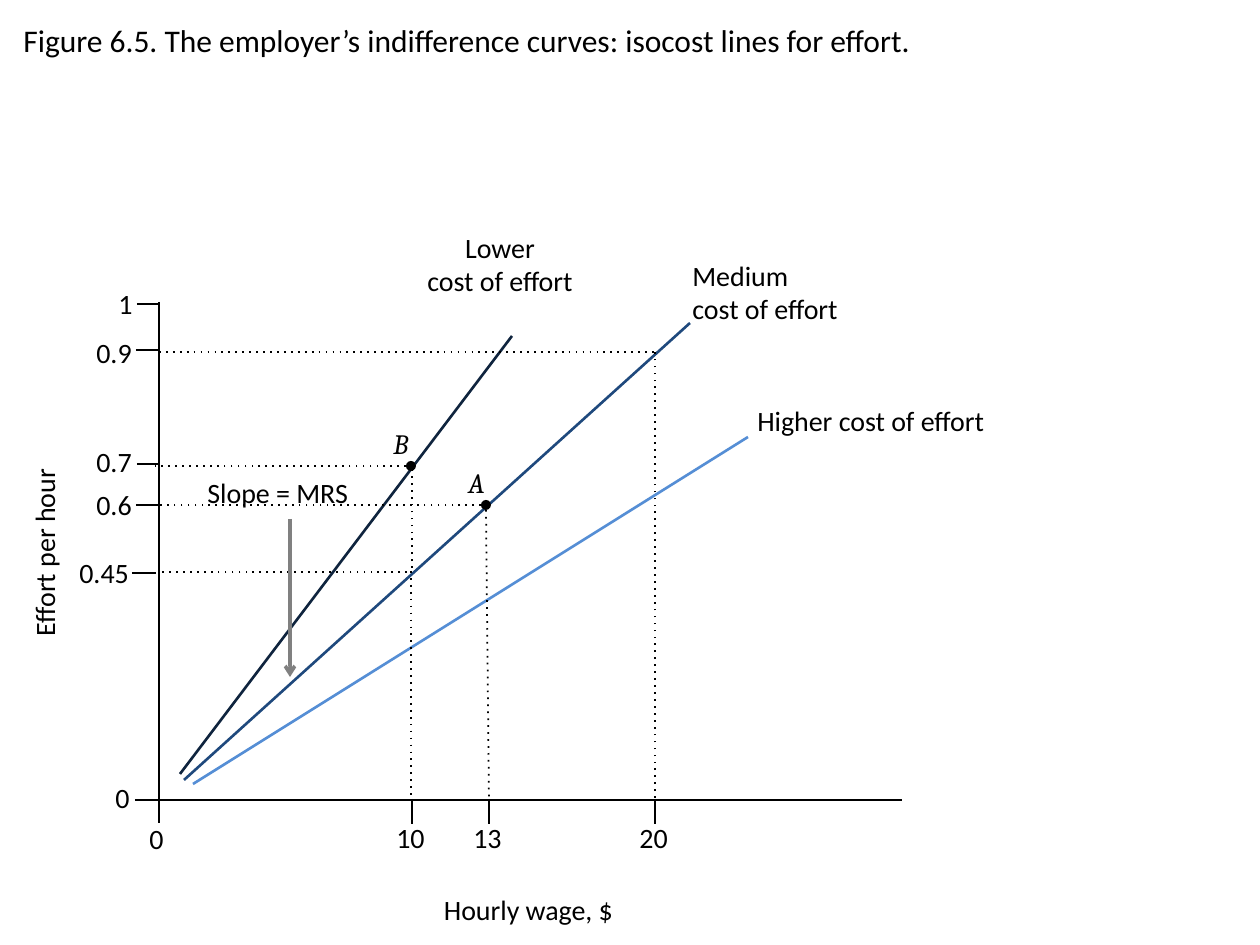
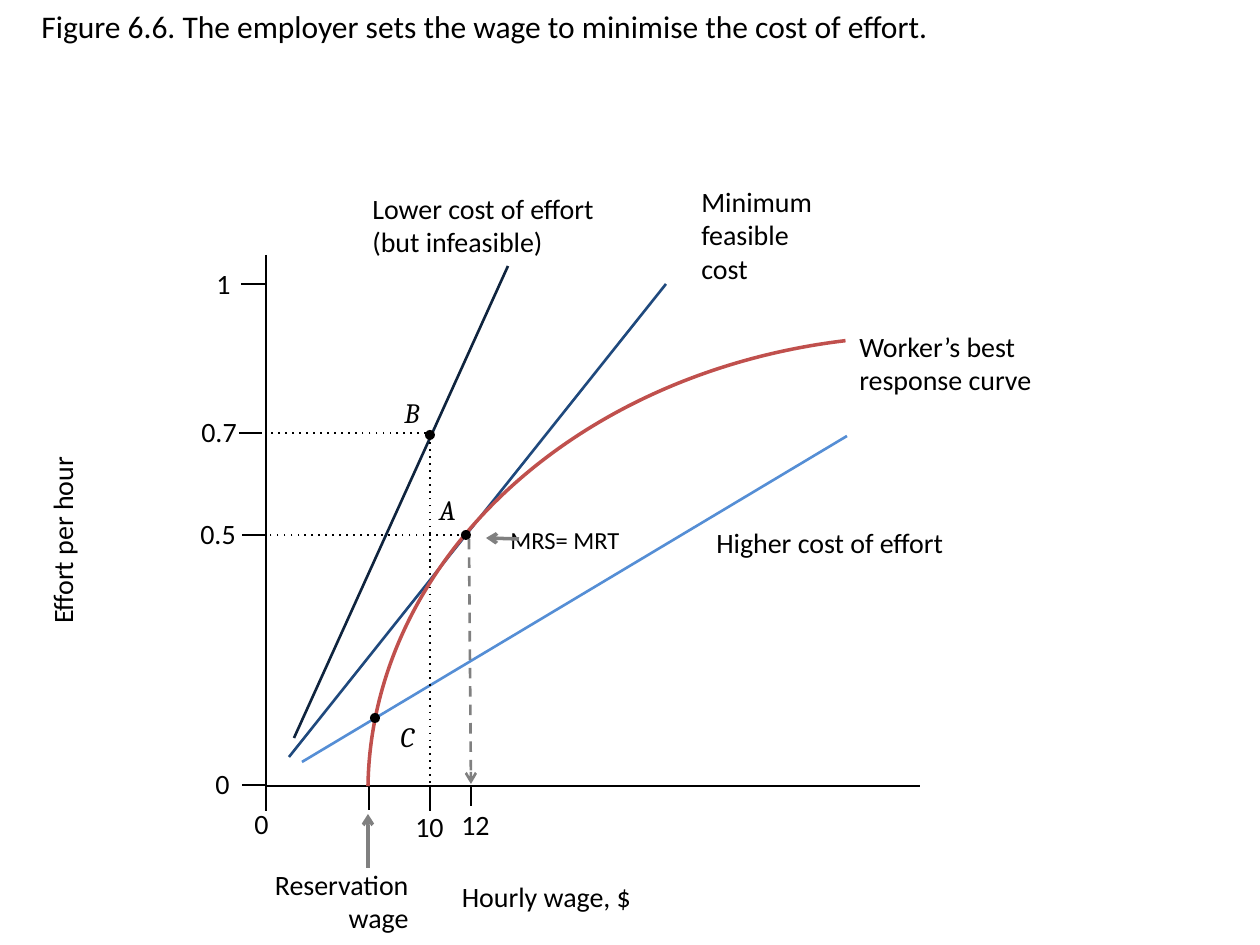
"""Build two economics figures: isocost lines, and the cost-minimising wage."""
from dataclasses import dataclass
from typing import Optional

import pptx
import pptx.dml.color
import pptx.enum.shapes
import pptx.enum.text
import pptx.oxml
import pptx.oxml.ns
import pptx.util
from lxml import etree

EMU_PER_PX = 914400 / 126
ALIGN = pptx.enum.text.PP_ALIGN


@dataclass(frozen=True)
class Theme:
    """Colours, fonts, type sizes and line weights of both figures."""
    ink: str = "000000"
    low_cost: str = "0F243E"
    mid_cost: str = "1F497D"
    high_cost: str = "558ED5"
    response: str = "C0504D"
    pointer: str = "808080"
    font: str = "Calibri"
    math_font: str = "Cambria"
    title_pt: int = 18
    label_pt: int = 16
    note_pt: int = 14
    thin: float = 1
    normal: float = 1.5
    thick: float = 2


THEME = Theme()


@dataclass(frozen=True)
class Label:
    """A text box; each line of the text is a paragraph."""
    text: str
    x: int
    y: int
    w: int
    h: int = 47
    align: Optional[ALIGN] = None
    size: int = THEME.label_pt
    font: str = THEME.font
    rotation: int = 0


@dataclass(frozen=True)
class Line:
    """A straight line, optionally dashed or with an arrowhead at its end."""
    x1: int
    y1: int
    x2: int
    y2: int
    color: str = THEME.ink
    width: float = THEME.normal
    dash: str = ""
    arrow: bool = False


@dataclass(frozen=True)
class Tick:
    """A mark on an axis; start and end run across that axis."""
    text: str
    at: int
    start: int
    end: int
    label_x: int
    label_y: int


@dataclass(frozen=True)
class Point:
    """A marked point with its italic letter."""
    letter: str
    x: int
    y: int
    label_x: int
    label_y: int


@dataclass(frozen=True)
class Arc:
    """Part of an ellipse between two angles in degrees."""
    x: int
    y: int
    w: int
    h: int
    start: float
    end: float
    color: str


@dataclass(frozen=True)
class Figure:
    """Everything that is drawn on one slide."""
    title: Label
    axes: list[Line]
    x_ticks: list[Tick]
    y_ticks: list[Tick]
    isocosts: list[Line]
    guides: list[Line]
    points: list[Point]
    labels: list[Label]
    pointers: list[Line]
    arcs: list[Arc]


def px(n: float) -> int:
    """Turn pixels into EMU."""
    return round(n * EMU_PER_PX)


def rgb(color: str) -> pptx.dml.color.RGBColor:
    """Turn a hex string into a colour."""
    return pptx.dml.color.RGBColor.from_string(color)


def draw_label(slide, label: Label) -> None:
    """Add a text box."""
    sp = slide.shapes.add_textbox(px(label.x), px(label.y), px(label.w), px(label.h))
    sp.rotation = label.rotation
    tf = sp.text_frame
    tf.word_wrap = True
    tf.auto_size = pptx.enum.text.MSO_AUTO_SIZE.SHAPE_TO_FIT_TEXT
    tf.text = label.text
    for p in tf.paragraphs:
        p.alignment = label.align
        p.font.size = pptx.util.Pt(label.size)
        p.font.name = label.font
        p.font.italic = label.font == THEME.math_font
        p.font.color.rgb = rgb(THEME.ink)


def draw_line(slide, line: Line) -> None:
    """Add a connector without a shadow."""
    sp = slide.shapes.add_connector(
        pptx.enum.shapes.MSO_CONNECTOR.STRAIGHT,
        px(line.x1), px(line.y1), px(line.x2), px(line.y2))
    sp.line.color.rgb = rgb(line.color)
    sp.line.width = pptx.util.Pt(line.width)
    qn = pptx.oxml.ns.qn
    props = sp.element.spPr
    ln = props.find(qn("a:ln"))
    if line.dash:
        etree.SubElement(ln, qn("a:prstDash")).set("val", line.dash)
    if line.arrow:
        etree.SubElement(ln, qn("a:tailEnd")).set("type", "arrow")
    etree.SubElement(props, qn("a:effectLst"))


def draw_point(slide, point: Point) -> None:
    """Add a dot centred on the point, and its letter."""
    sp = slide.shapes.add_shape(pptx.enum.shapes.MSO_SHAPE.OVAL,
                                px(point.x - 5), px(point.y - 5), px(10), px(10))
    sp.shadow.inherit = False
    sp.fill.solid()
    sp.fill.fore_color.rgb = rgb(THEME.ink)
    sp.line.fill.background()
    draw_label(slide, Label(point.letter, point.label_x, point.label_y, 60,
                            font=THEME.math_font))


def draw_arc(slide, arc: Arc) -> None:
    """Add an open arc."""
    sp = slide.shapes.add_shape(pptx.enum.shapes.MSO_SHAPE.ARC,
                                px(arc.x), px(arc.y), px(arc.w), px(arc.h))
    sp.shadow.inherit = False
    # Angles are stored in 1/60000 degree, adjustments in 1/100000.
    for i, angle in enumerate((arc.start, arc.end)):
        sp.adjustments[i] = angle * 0.6
    sp.fill.background()
    sp.line.color.rgb = rgb(arc.color)
    sp.line.width = pptx.util.Pt(THEME.thick)


def draw_tick(slide, tick: Tick, on_x_axis: bool) -> None:
    """Add a tick mark and its value, if it has one."""
    if on_x_axis:
        draw_line(slide, Line(tick.at, tick.start, tick.at, tick.end))
    else:
        draw_line(slide, Line(tick.start, tick.at, tick.end, tick.at))
    if tick.text:
        draw_label(slide, Label(tick.text, tick.label_x, tick.label_y,
                                35 + 13 * len(tick.text)))


def draw_figure(prs, fig: Figure) -> None:
    """Add one slide with a whole figure."""
    slide = prs.slides.add_slide(prs.slide_layouts[6])
    for line in fig.axes + fig.isocosts + fig.guides:
        draw_line(slide, line)
    for tick in fig.x_ticks:
        draw_tick(slide, tick, True)
    for tick in fig.y_ticks:
        draw_tick(slide, tick, False)
    for arc in fig.arcs:
        draw_arc(slide, arc)
    for point in fig.points:
        draw_point(slide, point)
    for label in [fig.title] + fig.labels:
        draw_label(slide, label)
    for line in fig.pointers:
        draw_line(slide, line)


def title(text: str, x: int, y: int) -> Label:
    """Describe a figure title."""
    return Label(text, x, y, 1249, 50, size=THEME.title_pt)


def axis_names(wage_x: int, wage_y: int, effort_x: int, effort_y: int) -> list[Label]:
    """Describe the names of both axes."""
    return [Label("Hourly wage, $", wage_x, wage_y, 747, align=ALIGN.CENTER),
            Label("Effort per hour", effort_x, effort_y, 495, align=ALIGN.CENTER,
                  rotation=270)]


def guide(x1: int, y1: int, x2: int, y2: int) -> Line:
    """Describe a dotted guide line."""
    return Line(x1, y1, x2, y2, width=THEME.thin, dash="dot")


def pointer(x1: int, y1: int, x2: int, y2: int) -> Line:
    """Describe a grey arrow."""
    return Line(x1, y1, x2, y2, THEME.pointer, THEME.thick, arrow=True)


ISOCOST_FIGURE = Figure(
    title=title("Figure 6.5. The employer’s indifference curves: isocost lines for effort.", 11, 15),
    axes=[Line(159, 302, 159, 799), Line(902, 800, 159, 800)],
    x_ticks=[Tick("0", 159, 798, 823, 137, 815)] + [
        Tick(text, x, 799, 824, x - 28, 814)
        for text, x in (("10", 412), ("13", 489), ("20", 655))],
    y_ticks=[Tick("0", 800, 135, 159, 103, 774), Tick("0.45", 573, 132, 156, 67, 549),
             Tick("0.6", 505, 136, 159, 84, 481), Tick("0.7", 464, 137, 160, 84, 438),
             Tick("0.9", 350, 136, 159, 84, 329), Tick("1", 304, 137, 160, 106, 280)],
    isocosts=[Line(690, 323, 184, 780, THEME.mid_cost),
              Line(512, 336, 180, 774, THEME.low_cost),
              Line(748, 437, 193, 784, THEME.high_cost)],
    guides=[guide(412, 568, 412, 464), guide(413, 466, 155, 466),
            guide(407, 572, 159, 572), guide(411, 571, 411, 798),
            guide(655, 798, 655, 352), guide(159, 352, 654, 352),
            guide(488, 505, 160, 505), guide(486, 510, 489, 799)],
    points=[Point("B", 411, 466, 381, 420), Point("A", 486, 505, 456, 459)],
    labels=axis_names(155, 886, -203, 529) + [
        Label("Higher cost of effort", 745, 397, 255),
        Label("Medium\ncost of effort", 680, 252, 231, 81),
        Label("Lower\ncost of effort", 408, 224, 184, 81, ALIGN.CENTER),
        Label("Slope = MRS", 195, 469, 180)],
    pointers=[pointer(290, 519, 290, 677)],
    arcs=[],
)

WAGE_FIGURE = Figure(
    title=title("Figure 6.6. The employer sets the wage to minimise the cost of effort.", 29, 1),
    axes=[Line(266, 255, 266, 786), Line(920, 786, 265, 786)],
    x_ticks=[Tick("0", 266, 786, 811, 242, 800), Tick("", 369, 786, 810, 0, 0),
             Tick("10", 430, 787, 811, 403, 803), Tick("12", 471, 786, 806, 449, 801)],
    y_ticks=[Tick("0", 785, 242, 265, 203, 760), Tick("0.5", 535, 242, 265, 188, 510),
             Tick("0.7", 433, 239, 262, 189, 408), Tick("1", 284, 241, 265, 204, 260)],
    isocosts=[Line(666, 284, 289, 757, THEME.mid_cost),
              Line(508, 266, 294, 738, THEME.low_cost),
              Line(847, 436, 302, 762, THEME.high_cost)],
    guides=[guide(430, 562, 430, 437), guide(426, 433, 267, 433),
            guide(430, 559, 430, 786), guide(466, 535, 268, 535)],
    points=[Point("B", 430, 435, 392, 389), Point("A", 466, 535, 427, 486),
            Point("C", 375, 718, 388, 713)],
    labels=axis_names(173, 873, -185, 517) + [
        Label("Higher cost of effort", 704, 519, 255),
        Label("Minimum feasible\ncost", 689, 178, 181, 115),
        Label("Lower cost of effort\n(but infeasible)", 360, 185, 334, 81),
        Label("MRS= MRT", 498, 519, 178, 43, size=THEME.note_pt),
        Label("Worker’s best\nresponse curve", 847, 323, 364, 81),
        Label("Reservation wage", 217, 861, 204, 81, ALIGN.RIGHT)],
    pointers=[pointer(519, 539, 486, 538), pointer(368, 868, 368, 814),
              Line(469, 539, 471, 784, THEME.pointer, dash="dash", arrow=True)],
    arcs=[Arc(368, 336, 1115, 911, 180.55, 259.94, THEME.response)],
)


def main() -> None:
    """Draw both figures and save the presentation."""
    prs = pptx.Presentation()
    prs.slide_width, prs.slide_height = px(1260), px(945)
    for fig in (ISOCOST_FIGURE, WAGE_FIGURE):
        draw_figure(prs, fig)
    prs.save("out.pptx")


main()
